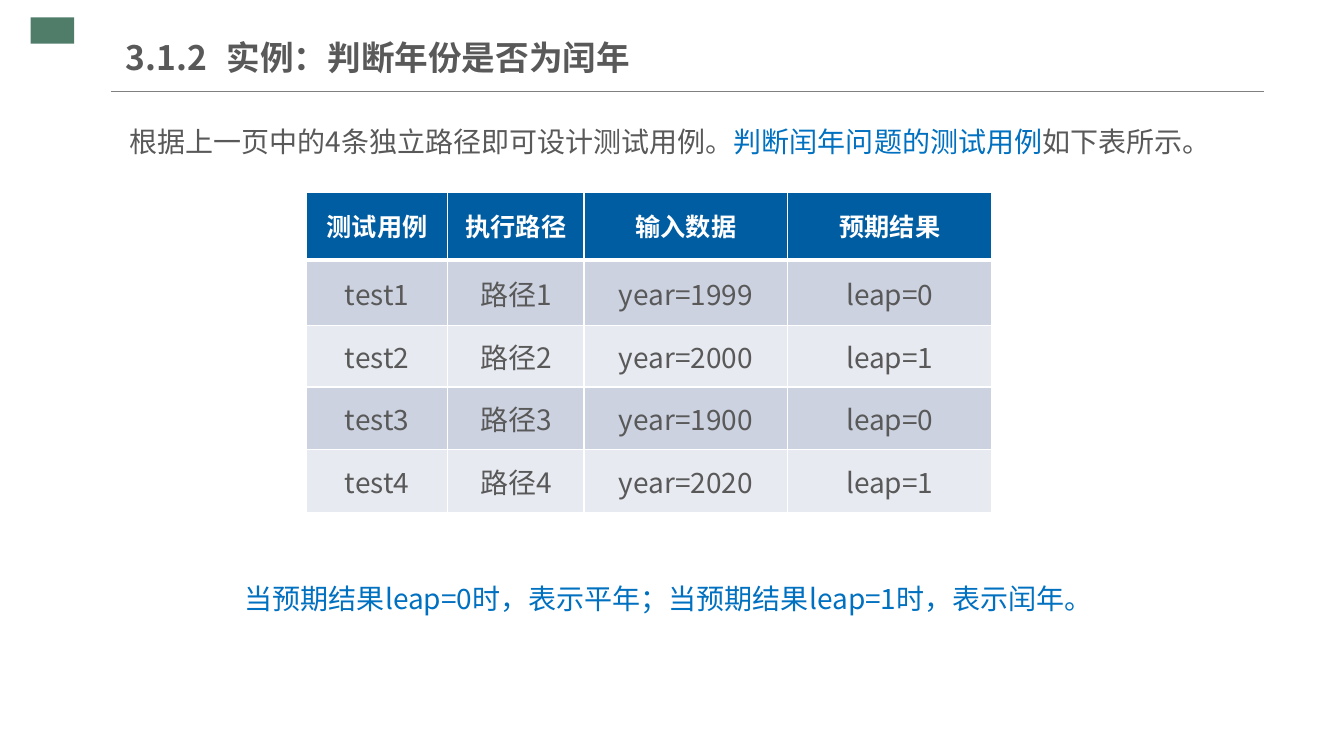
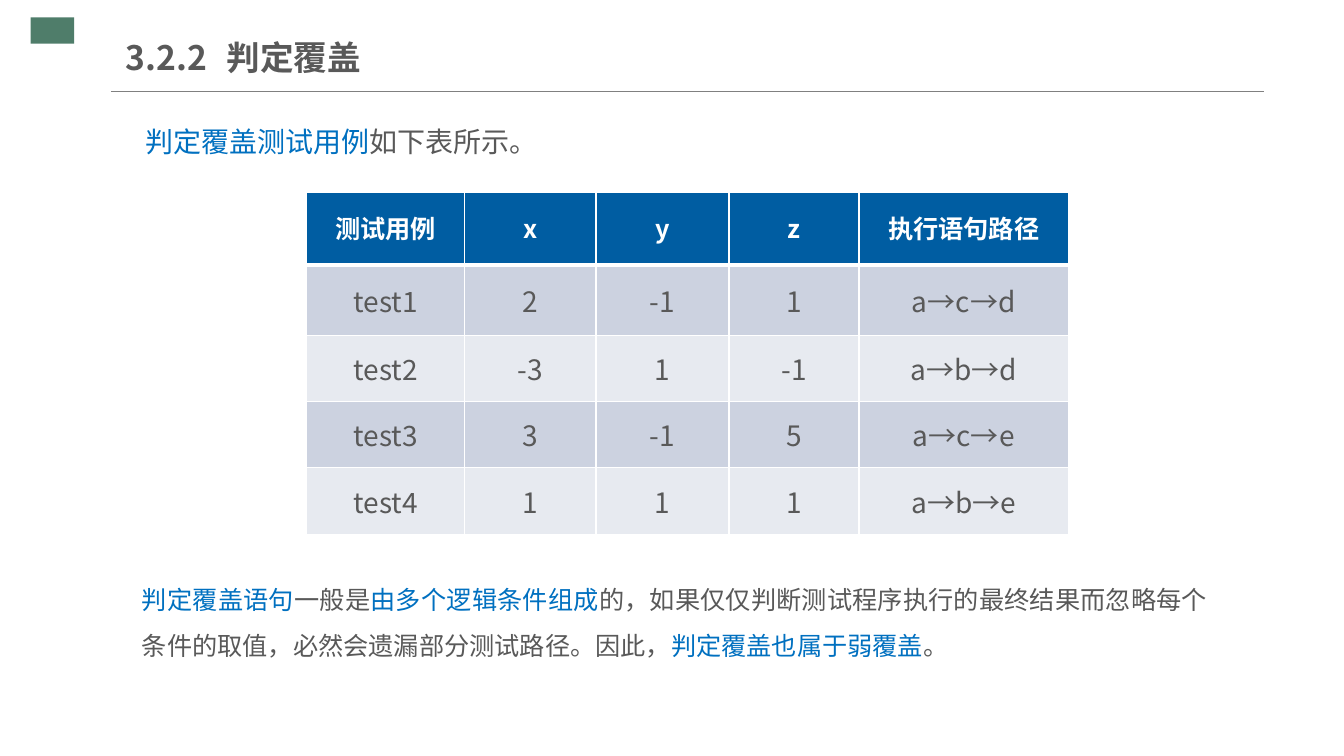
from lxml.etree import SubElement
from pptx import Presentation
from pptx.dml.color import RGBColor
from pptx.enum.shapes import MSO_CONNECTOR, MSO_SHAPE
from pptx.enum.text import MSO_ANCHOR, MSO_AUTO_SIZE, PP_ALIGN
from pptx.oxml.ns import qn
from pptx.util import Pt

FONT = "Noto Sans CJK SC"
GREY, BLUE, WHITE = "595959", "0070C0", "FFFFFF"
HEADER, BANDS = "005DA2", ("CCD2E0", "E7EAF0")
TABLE_LEFT, TABLE_TOP = 218.9, 137.5


def rgb(value):
    """Turn a hex string into a colour."""
    return RGBColor.from_string(value)


def format_run(r, size, color, bold=False):
    """Set the font of a run, for Latin and East Asian text."""
    r.font.name = FONT
    r.font.size = Pt(size)
    r.font.bold = bold
    r.font.color.rgb = rgb(color)
    SubElement(r.font._element, qn("a:ea"), typeface=FONT)


def set_margins(tf, x, y):
    """Set the horizontal and vertical insets of a text frame."""
    tf.margin_left = tf.margin_right = Pt(x)
    tf.margin_top = tf.margin_bottom = Pt(y)


def decorate_layout(layout, s):
    """Place the title, corner block and title rule on the layout."""
    title = layout.placeholders[0]
    title.left, title.top, title.width, title.height = map(Pt, (90, 20.9, 600, 39.6))
    block = s.shapes.add_shape(MSO_SHAPE.RECTANGLE, Pt(21.9), Pt(12.5), Pt(31), Pt(18.7))
    block.shadow.inherit = False
    block.fill.solid()
    block.fill.fore_color.rgb = rgb("4F7D6A")
    block.line.fill.background()
    rule = s.shapes.add_connector(MSO_CONNECTOR.STRAIGHT, Pt(79.2), Pt(65.5), Pt(902.9), Pt(65.5))
    rule.line.color.rgb = rgb("808080")
    rule.line.width = Pt(0.75)
    SubElement(rule.element.spPr, qn("a:effectLst"))
    for sp in (block, rule):
        layout.shapes.element.append(sp.element)


def set_title(s, text):
    """Fill and format the title placeholder."""
    tf = s.shapes.title.text_frame
    tf.text = text
    tf.auto_size = MSO_AUTO_SIZE.NONE
    tf.vertical_anchor = MSO_ANCHOR.MIDDLE
    set_margins(tf, 0, 5)
    p = tf.paragraphs[0]
    p.alignment = PP_ALIGN.LEFT
    format_run(p.runs[0], 24, GREY, True)


def add_text(s, box, parts, size=20, margins=(7.2, 3.6), align=PP_ALIGN.JUSTIFY, spacing=1.5):
    """Add one paragraph made of (text, colour) parts."""
    tf = s.shapes.add_textbox(*map(Pt, box)).text_frame
    tf.word_wrap = True
    set_margins(tf, *margins)
    p = tf.paragraphs[0]
    p.alignment, p.line_spacing = align, spacing
    for text, color in parts:
        r = p.add_run()
        r.text = text
        format_run(r, size, color)


def set_borders(cell, top, bottom):
    """Draw white cell borders with the given top and bottom widths."""
    pr = cell._tc.get_or_add_tcPr()
    widths = {"lnL": 1, "lnR": 1, "lnT": top, "lnB": bottom}
    for i, (tag, width) in enumerate(widths.items()):
        ln = pr.makeelement(qn(f"a:{tag}"), {"w": str(Pt(width))})
        SubElement(SubElement(ln, qn("a:solidFill")), qn("a:srgbClr"), val=WHITE)
        pr.insert(i, ln)


def format_cell(cell, row):
    """Format a cell as header or as part of a banded row."""
    head = row == 0
    cell.fill.solid()
    cell.fill.fore_color.rgb = rgb(HEADER if head else BANDS[(row - 1) % 2])
    cell.vertical_anchor = MSO_ANCHOR.MIDDLE
    p = cell.text_frame.paragraphs[0]
    p.alignment = PP_ALIGN.CENTER
    p.line_spacing = 0.9 if head else 1.0
    format_run(p.runs[0], 18 if head else 20, WHITE if head else GREY, head)
    set_borders(cell, 3 if row == 1 else 1, 3 if head else 1)


def add_case_table(s, rows, widths, heights):
    """Add a table of test cases."""
    table = s.shapes.add_table(len(rows), len(widths), Pt(TABLE_LEFT), Pt(TABLE_TOP),
                               Pt(sum(widths)), Pt(sum(heights))).table
    for column, width in zip(table.columns, widths):
        column.width = Pt(width)
    for i, (values, height) in enumerate(zip(rows, heights)):
        table.rows[i].height = Pt(height)
        for j, value in enumerate(values):
            cell = table.cell(i, j)
            cell.text = value
            format_cell(cell, i)


def fill_leap_year(s):
    """Build the leap year slide."""
    set_title(s, "3.1.2\t实例：判断年份是否为闰年")
    add_text(s, (82.8, 72, 806.4, 55.4), [
        ("根据上一页中的4条独立路径即可设计测试用例。", GREY),
        ("判断闰年问题的测试用例", BLUE),
        ("如下表所示。", GREY)], margins=(9.4, 5))
    add_case_table(s, [
        ("测试用例", "执行路径", "输入数据", "预期结果"),
        ("test1", "路径1", "year=1999", "leap=0"),
        ("test2", "路径2", "year=2000", "leap=1"),
        ("test3", "路径3", "year=1900", "leap=0"),
        ("test4", "路径4", "year=2020", "leap=1")],
        (101, 97.2, 145.7, 145.7), (48.2, 46.8, 43.9, 44.6, 45.4))
    add_text(s, (167.8, 411.8, 640, 31.7), [
        ("当预期结果leap=0时，表示平年；当预期结果leap=1时，表示闰年。", BLUE)],
        align=PP_ALIGN.LEFT, spacing=1.0)


def fill_decision_coverage(s):
    """Build the decision coverage slide."""
    set_title(s, "3.2.2\t判定覆盖")
    add_text(s, (94.3, 72, 795.6, 46), [
        ("判定覆盖测试用例", BLUE),
        ("如下表所示。", GREY)], margins=(9.4, 5))
    add_case_table(s, [
        ("测试用例", "x", "y", "z", "执行语句路径"),
        ("test1", "2", "-1", "1", "a→c→d"),
        ("test2", "-3", "1", "-1", "a→b→d"),
        ("test3", "3", "-1", "5", "a→c→e"),
        ("test4", "1", "1", "1", "a→b→e")],
        (113, 93.8, 95, 93, 149.5), (51.8, 50.4, 46.8, 47.5, 48))
    add_text(s, (94.3, 403.2, 775.4, 72.7), [
        ("判定覆盖语句", BLUE),
        ("一般是", GREY),
        ("由多个逻辑条件组成", BLUE),
        ("的，如果仅仅判断测试程序执行的最终结果而忽略每个条件的取值，"
         "必然会遗漏部分测试路径。因此，", GREY),
        ("判定覆盖也属于弱覆盖", BLUE),
        ("。", GREY)], size=18)


def main():
    """Build and save the presentation."""
    prs = Presentation()
    prs.slide_width, prs.slide_height = Pt(960), Pt(540)
    layout = prs.slide_layouts[5]
    slides = [prs.slides.add_slide(layout) for _ in range(2)]
    decorate_layout(layout, slides[0])
    fill_leap_year(slides[0])
    fill_decision_coverage(slides[1])
    prs.save("out.pptx")


if __name__ == "__main__":
    main()
